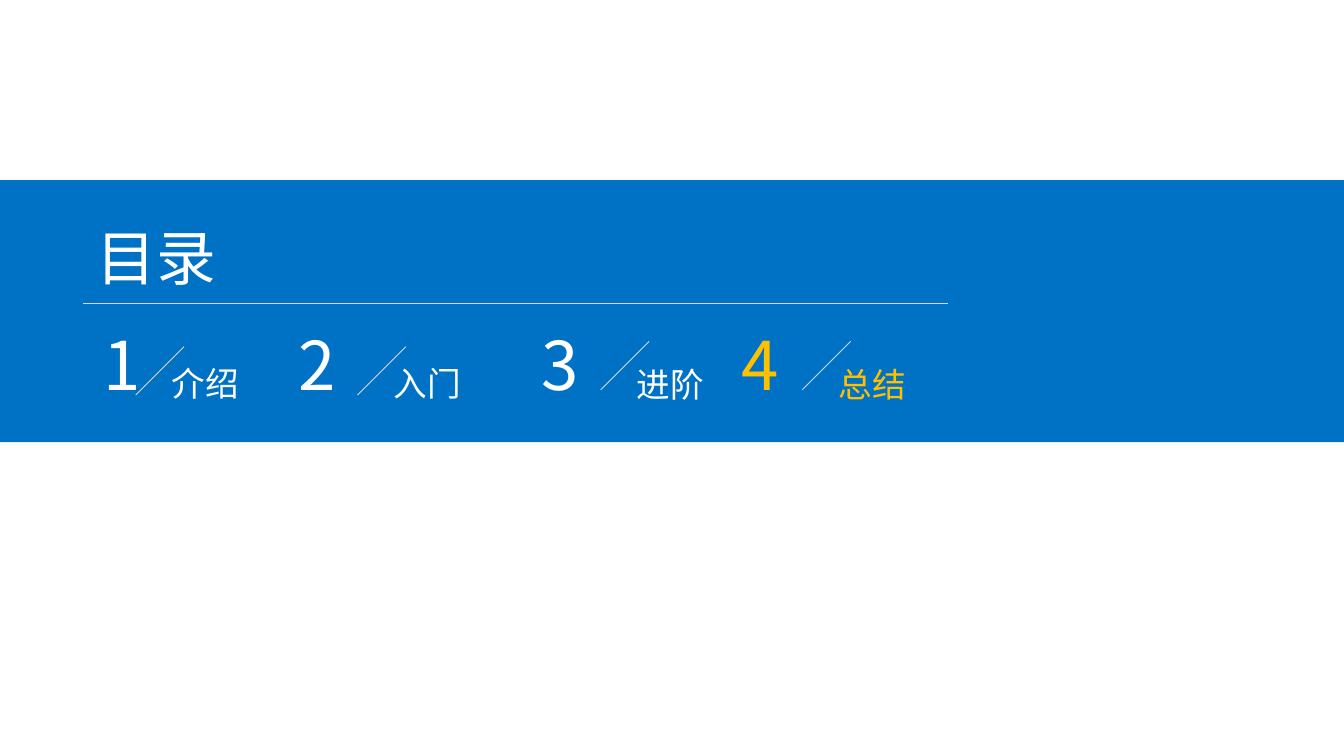
from typing import NamedTuple

from lxml import etree
from pptx import Presentation
from pptx.dml.color import RGBColor
from pptx.enum.shapes import MSO_CONNECTOR, MSO_SHAPE
from pptx.enum.text import MSO_AUTO_SIZE
from pptx.oxml.ns import qn
from pptx.slide import Slide
from pptx.util import Inches, Pt

RECTANGLE = MSO_SHAPE.RECTANGLE
STRAIGHT = MSO_CONNECTOR.STRAIGHT
GROW = MSO_AUTO_SIZE.SHAPE_TO_FIT_TEXT

COLORS = {"band": "0072C6", "rule": "D8D8D8", "text": "FFFFFF", "current": "FFC000"}
HEADING_FONT = "Noto Sans CJK SC"
LABEL_FONT = "Noto Sans CJK JP"
SLIDE_WIDTH = Inches(10)
SLIDE_HEIGHT = SLIDE_WIDTH * 9 // 16
SLASH_SIZE = 0.36
LABEL_OFFSET = 0.17


class Chapter(NamedTuple):
    number: str
    label: str
    number_left: float
    slash_left: float
    slash_top: float
    label_top: float
    color: str = "text"


CHAPTERS = [
    Chapter("1", "介绍", 0.67, 1.01, 2.58, 2.65),
    Chapter("2", "入门", 2.12, 2.66, 2.58, 2.65),
    Chapter("3", "进阶", 3.93, 4.47, 2.54, 2.66),
    Chapter("4", "总结", 5.42, 5.97, 2.54, 2.66, "current"),
]


def add_text(slide: Slide, text: str, *, left: float, top: float, width: float,
             height: float, size: int, font: str = HEADING_FONT, color: str = "text") -> None:
    box = slide.shapes.add_textbox(Inches(left), Inches(top), Inches(width), Inches(height))
    frame = box.text_frame
    frame.word_wrap = True
    frame.auto_size = GROW
    run = frame.paragraphs[0].add_run()
    run.text = text
    run.font.size = Pt(size)
    run.font.color.rgb = RGBColor.from_string(COLORS[color])
    run.font.name = font
    etree.SubElement(run.font._element, qn("a:ea"), typeface=font)


def add_rule(slide: Slide, start: tuple[float, float], end: tuple[float, float]) -> None:
    rule = slide.shapes.add_connector(STRAIGHT, *(Inches(value) for value in start + end))
    rule.line.color.rgb = RGBColor.from_string(COLORS["rule"])
    rule.line.width = Pt(0.5)
    etree.SubElement(rule._element.spPr, qn("a:effectLst"))


def add_band(slide: Slide) -> None:
    band = slide.shapes.add_shape(RECTANGLE, 0, Inches(1.34), SLIDE_WIDTH, Inches(1.95))
    band.shadow.inherit = False
    band.fill.solid()
    band.fill.fore_color.rgb = RGBColor.from_string(COLORS["band"])
    band.line.fill.background()


def add_chapter(slide: Slide, chapter: Chapter) -> None:
    add_text(slide, chapter.number, left=chapter.number_left, top=2.36,
             width=0.34, height=0.7, size=36, color=chapter.color)
    add_rule(slide, (chapter.slash_left + SLASH_SIZE, chapter.slash_top),
             (chapter.slash_left, chapter.slash_top + SLASH_SIZE))
    add_text(slide, chapter.label, left=chapter.slash_left + LABEL_OFFSET,
             top=chapter.label_top, width=1.54, height=0.4, size=18,
             font=LABEL_FONT, color=chapter.color)


def main() -> None:
    """Build the contents slide with the last chapter highlighted."""
    deck = Presentation()
    deck.slide_width, deck.slide_height = SLIDE_WIDTH, SLIDE_HEIGHT
    slide = deck.slides.add_slide(deck.slide_layouts[6])
    add_band(slide)
    add_rule(slide, (0.62, 2.26), (7.05, 2.26))
    add_text(slide, "目录", left=0.62, top=1.59, width=1.81, height=0.64, size=32)
    for chapter in CHAPTERS:
        add_chapter(slide, chapter)
    deck.save("out.pptx")


if __name__ == "__main__":
    main()
